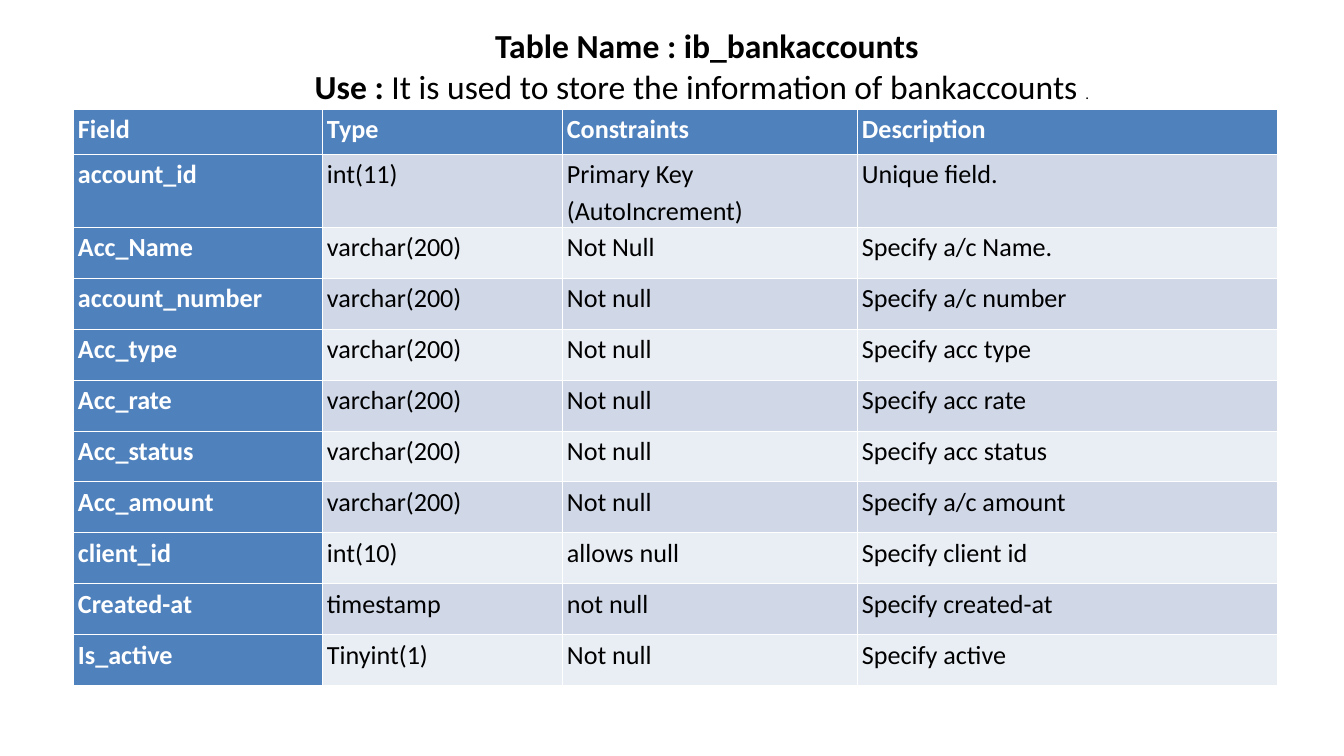
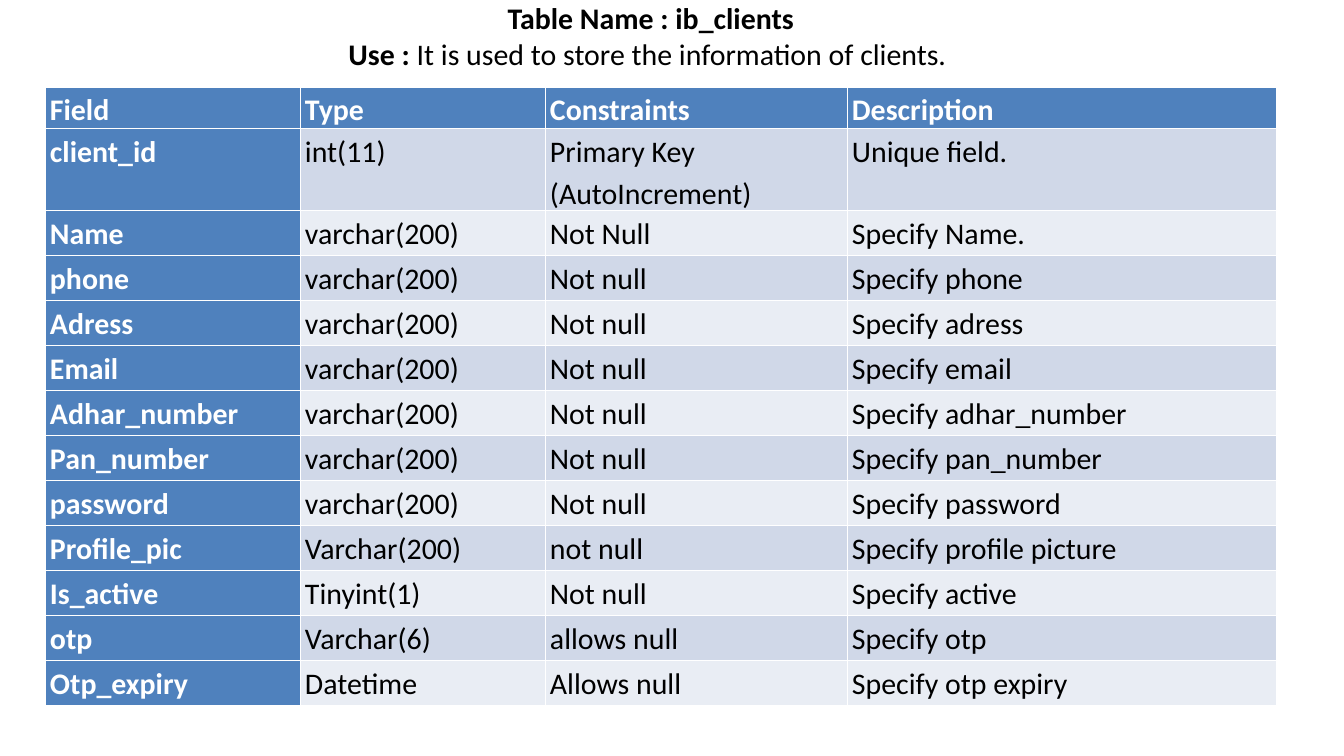
from pptx import Presentation
from pptx.dml.color import RGBColor
from pptx.enum.text import MSO_ANCHOR, MSO_AUTO_SIZE, PP_ALIGN
from pptx.util import Pt

EMU_PER_PX = 914400 / 67.2
SLIDE_SIZE = (1344, 756)
FONT = "Calibri"
TITLE_ONLY = 5

WHITE = RGBColor(0xFF, 0xFF, 0xFF)
BLACK = RGBColor(0x00, 0x00, 0x00)
HEADER_BLUE = RGBColor(0x4F, 0x81, 0xBD)
BANDS = (RGBColor(0xE9, 0xED, 0xF4), RGBColor(0xD0, 0xD8, 0xE8))

COLUMNS = ("Field", "Type", "Constraints", "Description")
CELL_FORMAT = {"margin_left": 5, "margin_right": 5, "margin_top": 0, "margin_bottom": 0}

SCHEMAS = [
    {
        "name": "ib_bankaccounts",
        "use": [("It is used to store the information of bankaccounts ", 36), (".", 16)],
        "use_align": PP_ALIGN.LEFT,
        "title_box": (308, 21, 798, 89),
        "title_pt": 36,
        "table_at": (73, 109),
        "widths": (249, 240, 295, 420),
        "heights": {"header": 45, "key": 73, "field": 51},
        "cell_pt": 28,
        "fields": [
            ("account_id", "int(11)", "Primary Key (AutoIncrement)", "Unique field."),
            ("Acc_Name", "varchar(200)", "Not Null", "Specify a/c Name."),
            ("account_number", "varchar(200)", "Not null", "Specify a/c number"),
            ("Acc_type", "varchar(200)", "Not null", "Specify acc type"),
            ("Acc_rate", "varchar(200)", "Not null", "Specify acc rate"),
            ("Acc_status", "varchar(200)", "Not null", "Specify acc status"),
            ("Acc_amount", "varchar(200)", "Not null", "Specify a/c amount"),
            ("client_id", "int(10)", "allows null", "Specify client id"),
            ("Created-at", "timestamp", "not null", "Specify created-at"),
            ("Is_active", "Tinyint(1)", "Not null", "Specify active"),
        ],
    },
    {
        "name": "ib_clients",
        "use": [("It is used to store the information of clients. ", 32)],
        "use_align": PP_ALIGN.CENTER,
        "title_box": (335, -4, 632, 79),
        "title_pt": 32,
        "table_at": (45, 87),
        "widths": (255, 245, 302, 429),
        "heights": {"header": 40, "key": 80, "field": 45},
        "cell_pt": 32,
        "fields": [
            ("client_id", "int(11)", "Primary Key (AutoIncrement)", "Unique field."),
            ("Name", "varchar(200)", "Not Null", "Specify Name."),
            ("phone", "varchar(200)", "Not null", "Specify phone"),
            ("Adress", "varchar(200)", "Not null", "Specify adress"),
            ("Email", "varchar(200)", "Not null", "Specify email"),
            ("Adhar_number", "varchar(200)", "Not null", "Specify adhar_number"),
            ("Pan_number", "varchar(200)", "Not null", "Specify pan_number"),
            ("password", "varchar(200)", "Not null", "Specify password"),
            ("Profile_pic", "Varchar(200)", "not null", "Specify profile picture"),
            ("Is_active", "Tinyint(1)", "Not null", "Specify active"),
            ("otp", "Varchar(6)", "allows null", "Specify otp"),
            ("Otp_expiry", "Datetime", "Allows null", "Specify otp expiry"),
        ],
    },
]


def px(length):
    return round(length * EMU_PER_PX)


def add_run(paragraph, text, size, color=BLACK, bold=False):
    run = paragraph.add_run()
    run.text = text
    font_format = {"name": FONT, "size": Pt(size), "bold": bold}
    for attribute, value in font_format.items():
        setattr(run.font, attribute, value)
    run.font.color.rgb = color


def fill_title(title, schema):
    title.left, title.top, title.width, title.height = map(px, schema["title_box"])
    frame = title.text_frame
    frame_format = {
        "word_wrap": False,
        "auto_size": MSO_AUTO_SIZE.SHAPE_TO_FIT_TEXT,
        "vertical_anchor": MSO_ANCHOR.MIDDLE,
    }
    for attribute, value in frame_format.items():
        setattr(frame, attribute, value)

    name_line, use_line = frame.paragraphs[0], frame.add_paragraph()
    name_line.alignment = PP_ALIGN.CENTER
    use_line.alignment = schema["use_align"]
    add_run(name_line, f"Table Name : {schema['name']}", schema["title_pt"], bold=True)
    add_run(use_line, "Use : ", schema["title_pt"], bold=True)
    for text, size in schema["use"]:
        add_run(use_line, text, size)


def fill_cell(cell, text, size, band, is_heading):
    for attribute, margin in CELL_FORMAT.items():
        setattr(cell, attribute, px(margin))
    cell.fill.solid()
    cell.fill.fore_color.rgb = HEADER_BLUE if is_heading else band
    paragraph = cell.text_frame.paragraphs[0]
    paragraph.line_spacing = 1.15
    add_run(paragraph, text, size, WHITE if is_heading else BLACK, is_heading)


def add_field_table(slide, schema):
    rows = [COLUMNS, *schema["fields"]]
    heights = [schema["heights"][kind] for kind in ("header", "key")]
    heights += [schema["heights"]["field"]] * (len(rows) - len(heights))
    widths = schema["widths"]
    box = (*schema["table_at"], sum(widths), sum(heights))
    table = slide.shapes.add_table(len(rows), len(COLUMNS), *map(px, box)).table
    table.first_col = True

    for column, width in zip(table.columns, widths):
        column.width = px(width)
    for row, height in zip(table.rows, heights):
        row.height = px(height)
    for r, texts in enumerate(rows):
        for c, text in enumerate(texts):
            is_heading = r == 0 or c == 0
            fill_cell(table.cell(r, c), text, schema["cell_pt"], BANDS[r % 2], is_heading)


def main():
    deck = Presentation()
    deck.slide_width, deck.slide_height = map(px, SLIDE_SIZE)
    for schema in SCHEMAS:
        slide = deck.slides.add_slide(deck.slide_layouts[TITLE_ONLY])
        fill_title(slide.shapes.title, schema)
        add_field_table(slide, schema)
    deck.save("out.pptx")


if __name__ == "__main__":
    main()
